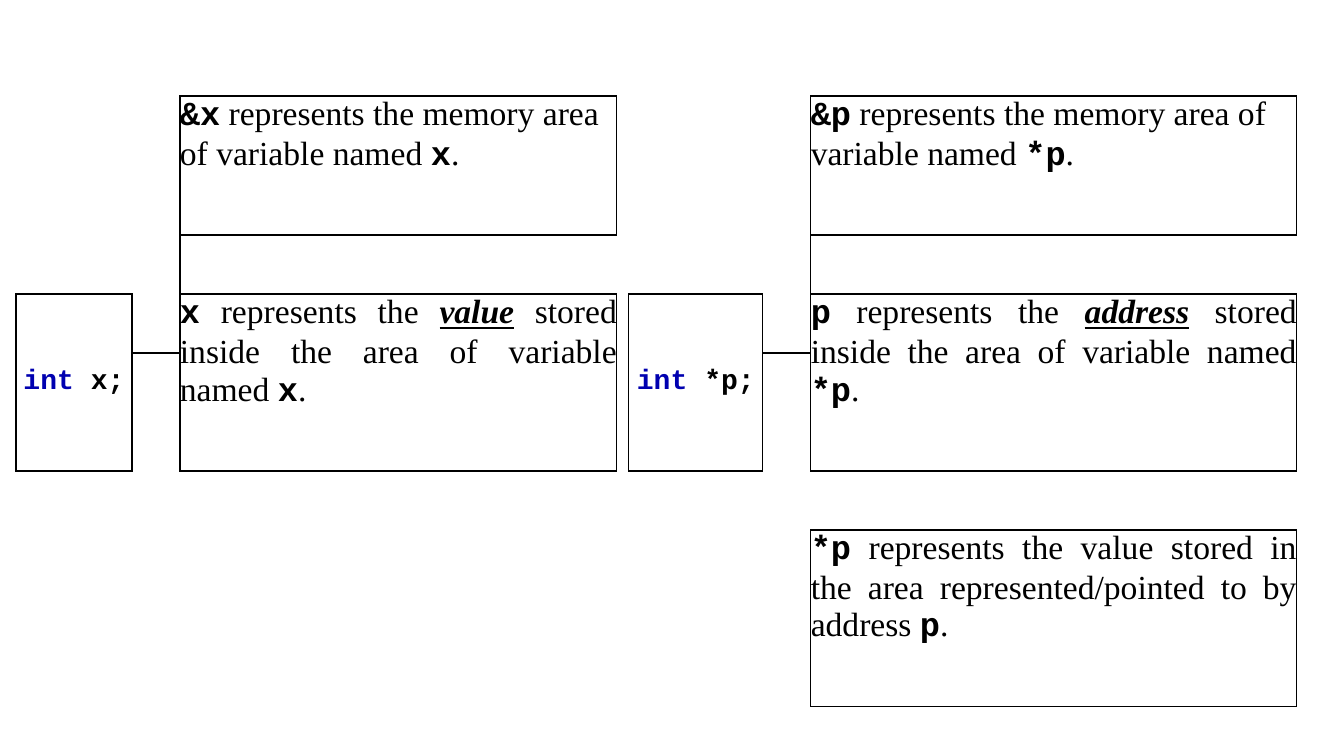
from lxml.etree import SubElement
from pptx import Presentation
from pptx.dml.color import RGBColor
from pptx.enum.text import MSO_ANCHOR, PP_ALIGN
from pptx.oxml import parse_xml
from pptx.oxml.ns import nsdecls, qn
from pptx.util import Emu, Pt

BLACK = RGBColor(0x00, 0x00, 0x00)
KEYWORD_BLUE = RGBColor(0x00, 0x00, 0xB0)
PX = 914400 / 100.8
CODE_FONT = "Courier New"
PROSE_FONT = "Times New Roman"
NO_STYLE = "{2D5ABB26-0587-4C30-8999-92F81FD0307C}"

COLUMNS = [116, 24, 24, 437, 12, 134, 24, 24, 486]
ROWS = [59, 59, 59, 59, 118, 59, 59, 118]
EMPTY_SPANS = [(1, 1, 2), (1, 2, 2), (1, 7, 2), (5, 1, 2),
               (5, 2, 2), (5, 3, 3), (5, 7, 2)]
SIDES = "LRTB"
NEIGHBOURS = {"L": (0, -1, "R"), "R": (0, 1, "L"),
              "T": (-1, 0, "B"), "B": (1, 0, "T")}


def px(length):
    return Emu(round(length * PX))


def code(text, size=24, color=BLACK):
    return text, CODE_FONT, size, color, True, False


def prose(text):
    return text, PROSE_FONT, 24, BLACK, False, False


def stressed(text):
    return text, PROSE_FONT, 24, BLACK, True, True


def clear_borders(cell):
    properties = cell._tc.get_or_add_tcPr()
    for position, side in enumerate(SIDES):
        properties.insert(position, parse_xml(
            f'<a:ln{side} {nsdecls("a")} w="{Pt(1)}"><a:noFill/></a:ln{side}>'))


def set_border(cell, side, points):
    properties = cell._tc.get_or_add_tcPr()
    properties.replace(properties.find(qn(f"a:ln{side}")), parse_xml(
        f'<a:ln{side} {nsdecls("a")} w="{Pt(points)}" cap="flat" cmpd="sng">'
        f'<a:solidFill><a:srgbClr val="{BLACK}"/></a:solidFill>'
        f'<a:prstDash val="solid"/></a:ln{side}>'))


def draw_edge(grid, row, column, side, points=1):
    set_border(grid.cell(row, column), side, points)
    row_step, column_step, facing = NEIGHBOURS[side]
    row, column = row + row_step, column + column_step
    if 0 <= row < len(ROWS) and 0 <= column < len(COLUMNS):
        set_border(grid.cell(row, column), facing, points)


def write_runs(cell, runs, alignment, anchor):
    cell.vertical_anchor = anchor
    paragraph = cell.text_frame.paragraphs[0]
    paragraph.alignment = alignment
    for text, font_name, size, color, bold, emphasis in runs:
        run = paragraph.add_run()
        run.text = text
        font = run.font
        font.name = font_name
        font.size = Pt(size)
        font.color.rgb = color
        font.bold = bold
        font.italic = emphasis
        font.underline = emphasis


def add_box(grid, row, column, runs, alignment, anchor=MSO_ANCHOR.TOP):
    upper = grid.cell(row, column)
    upper.merge(grid.cell(row + 1, column))
    for side in "LRT":
        draw_edge(grid, row, column, side)
    for side in "LRB":
        draw_edge(grid, row + 1, column, side)
    set_border(upper, "B", 1)
    write_runs(upper, runs, alignment, anchor)


def add_declaration(grid, column, name):
    add_box(grid, 3, column, [code("int", 20, KEYWORD_BLUE), code(f" {name};", 20)],
            PP_ALIGN.CENTER, MSO_ANCHOR.MIDDLE)
    for offset in (1, 2):
        draw_edge(grid, 3, column + offset, "B", 1.5)


def add_meanings(grid, column, symbol, variable, content):
    add_box(grid, 0, column,
            [code(f"&{symbol}"),
             prose(" represents the memory area of variable named "),
             code(variable), prose(".")], PP_ALIGN.LEFT)
    draw_edge(grid, 2, column, "L")
    add_box(grid, 3, column,
            [code(symbol), prose(" represents the "), stressed(content),
             prose(" stored inside the area of variable named "),
             code(variable), prose(".")], PP_ALIGN.JUSTIFY)


def add_dereference(grid, column):
    add_box(grid, 6, column,
            [code("*p"),
             prose(" represents the value stored in the area "
                   "represented/pointed to by address "),
             code("p"), prose(".")], PP_ALIGN.JUSTIFY)


def add_grid(slide, left, top):
    frame = slide.shapes.add_table(len(ROWS), len(COLUMNS), px(left), px(top),
                                   px(sum(COLUMNS)), px(sum(ROWS)))
    grid = frame.table
    grid.first_row = False
    grid.horz_banding = False
    table_properties = grid._tbl.tblPr
    for style in table_properties.findall(qn("a:tableStyleId")):
        table_properties.remove(style)
    SubElement(table_properties, qn("a:tableStyleId")).text = NO_STYLE
    for column, width in zip(grid.columns, COLUMNS):
        column.width = px(width)
    for row, height in zip(grid.rows, ROWS):
        row.height = px(height)
    for cell in grid.iter_cells():
        cell.fill.background()
        cell.margin_left = cell.margin_right = 0
        cell.margin_top = cell.margin_bottom = 0
        clear_borders(cell)
    for row, column, height in EMPTY_SPANS:
        grid.cell(row, column).merge(grid.cell(row + height - 1, column))
    return grid


def add_pointer_slide(presentation):
    slide = presentation.slides.add_slide(presentation.slide_layouts[6])
    grid = add_grid(slide, 16, 96)
    add_declaration(grid, 0, "x")
    add_meanings(grid, 3, "x", "x", "value")
    add_declaration(grid, 5, "*p")
    add_meanings(grid, 8, "p", "*p", "address")
    add_dereference(grid, 8)


def main():
    presentation = Presentation()
    presentation.slide_width = px(1344)
    presentation.slide_height = px(756)
    add_pointer_slide(presentation)
    presentation.save("out.pptx")


if __name__ == "__main__":
    main()
